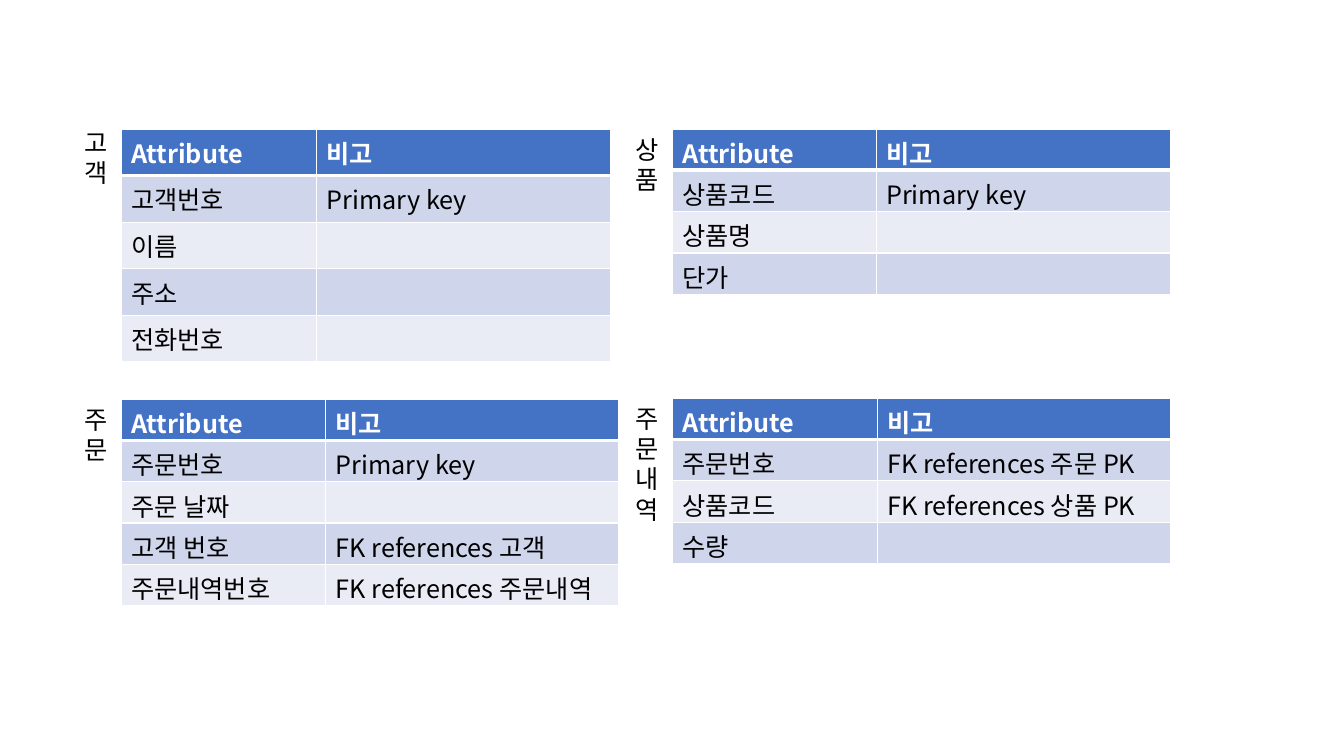
"""Build a slide with the four tables of an order database schema."""
from lxml import etree
from pptx import Presentation
from pptx.dml.color import RGBColor
from pptx.enum.text import MSO_AUTO_SIZE
from pptx.oxml.ns import qn
from pptx.util import Inches, Pt

FIT_SHAPE = MSO_AUTO_SIZE.SHAPE_TO_FIT_TEXT
FONT = "Noto Sans CJK KR"
WHITE = RGBColor(0xFF, 0xFF, 0xFF)
BLACK = RGBColor(0x00, 0x00, 0x00)
HEADER_BLUE = RGBColor(0x44, 0x72, 0xC4)
BANDS = (RGBColor(0xE9, 0xEB, 0xF5), RGBColor(0xCF, 0xD5, 0xEA))
ROW_HEIGHT = 0.41
LABEL_WIDTH = 0.46
HEADER = ("Attribute", "비고")

ENTITIES = [
    {"name": "고객", "left": 1.2, "top": 1.28, "label_top": 1.21, "columns": (1.94, 2.92),
     "rows": [("고객번호", "Primary key"), ("이름", ""), ("주소", ""), ("전화번호", "")]},
    {"name": "주문", "left": 1.2, "top": 3.96, "label_top": 3.96, "columns": (2.03, 2.91),
     "rows": [("주문번호", "Primary key"), ("주문 날짜", ""),
              ("고객 번호", "FK references 고객"),
              ("주문내역번호", "FK references 주문내역")]},
    {"name": "주문내역", "left": 6.67, "top": 3.95, "label_top": 3.95, "columns": (2.03, 2.91),
     "rows": [("주문번호", "FK references 주문 PK"),
              ("상품코드", "FK references 상품 PK"), ("수량", "")]},
    {"name": "상품", "left": 6.67, "top": 1.28, "label_top": 1.28, "columns": (2.02, 2.92),
     "rows": [("상품코드", "Primary key"), ("상품명", ""), ("단가", "")]},
]


class SchemaPage:
    """Hold the text style and the current slide."""

    def __init__(self, page):
        self.page = page
        self.style = {"name": FONT, "size": Pt(18)}

    def add_text(self, frame, text, **formats):
        """Put one styled run into a text frame."""
        if not text:
            return
        span = frame.paragraphs[0].add_run()
        span.text = text
        formats = {**self.style, **formats}
        span.font.color.rgb = formats.pop("color")
        for key, value in formats.items():
            setattr(span.font, key, value)
        latin = span.font._element.find(qn("a:latin"))
        east_asian = etree.Element(qn("a:ea"), typeface=FONT)
        latin.addnext(east_asian)

    def label(self, text, left, top):
        """Add a narrow label that stacks its characters."""
        height = 0.11 + 0.3 * len(text)
        box = self.page.shapes.add_textbox(
            Inches(left), Inches(top), Inches(LABEL_WIDTH), Inches(height))
        box.text_frame.word_wrap = True
        box.text_frame.auto_size = FIT_SHAPE
        self.add_text(box.text_frame, text, color=BLACK)

    def borders(self, cell, row_index):
        """Draw white cell borders, thicker under the header."""
        widths = {"L": 1, "R": 1, "T": 3 if row_index == 1 else 1,
                  "B": 3 if row_index == 0 else 1}
        properties = cell._tc.get_or_add_tcPr()
        for position, (side, width) in enumerate(widths.items()):
            line = etree.Element(qn(f"a:ln{side}"), w=str(Pt(width)))
            fill = etree.SubElement(line, qn("a:solidFill"))
            etree.SubElement(fill, qn("a:srgbClr"), val=str(WHITE))
            properties.insert(position, line)

    def table(self, rows, left, top, columns):
        """Add a banded table with a blue header row."""
        frame = self.page.shapes.add_table(
            len(rows), len(columns), Inches(left), Inches(top),
            Inches(sum(columns)), Inches(ROW_HEIGHT * len(rows)))
        table = frame.table
        for column, width in zip(table.columns, columns):
            column.width = Inches(width)
        for row_index, texts in enumerate(rows):
            is_header = row_index == 0
            for column_index, text in enumerate(texts):
                cell = table.cell(row_index, column_index)
                cell.fill.solid()
                cell.fill.fore_color.rgb = HEADER_BLUE if is_header else BANDS[row_index % 2]
                self.borders(cell, row_index)
                self.add_text(cell.text_frame, text, bold=is_header,
                              color=WHITE if is_header else BLACK)


deck = Presentation()
deck.slide_width, deck.slide_height = Inches(13.33), Inches(7.5)
schema = SchemaPage(deck.slides.add_slide(deck.slide_layouts[6]))
for entity in ENTITIES:
    schema.table([HEADER, *entity["rows"]], entity["left"], entity["top"], entity["columns"])
    schema.label(entity["name"], entity["left"] - LABEL_WIDTH, entity["label_top"])
deck.save("out.pptx")
